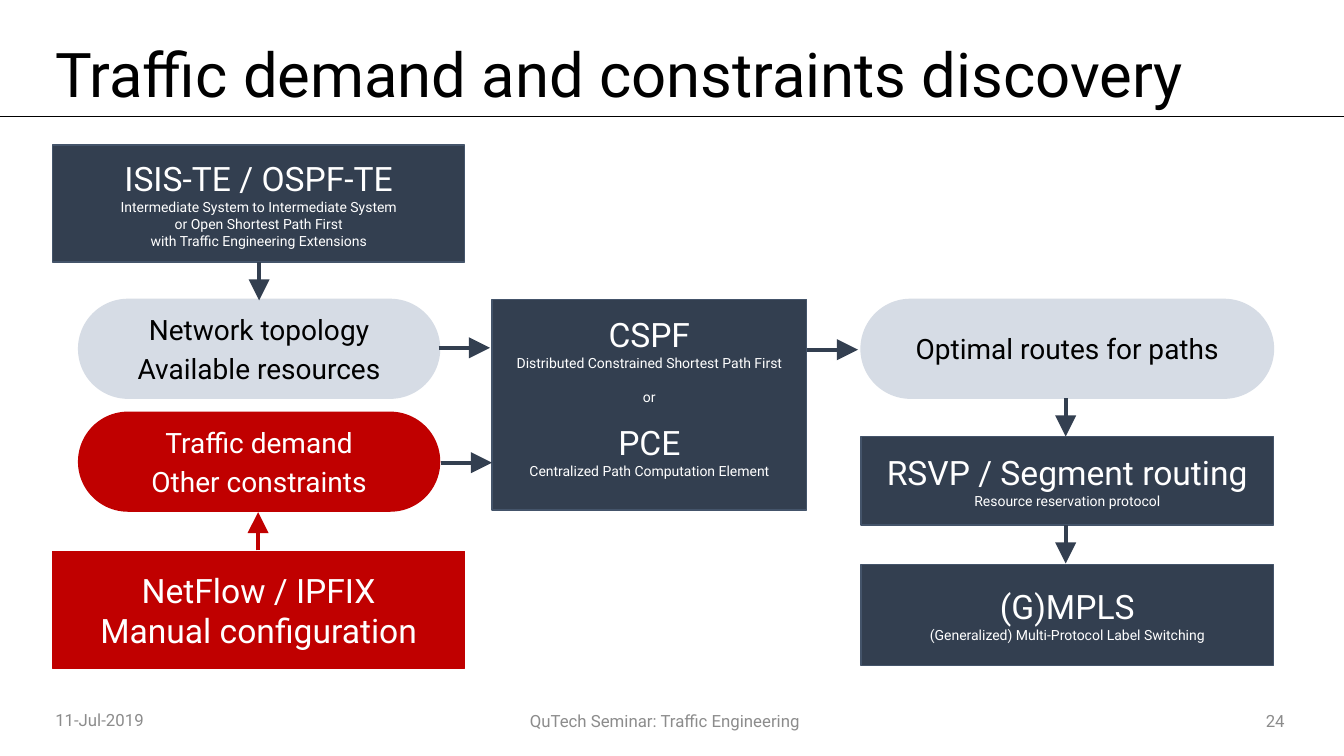
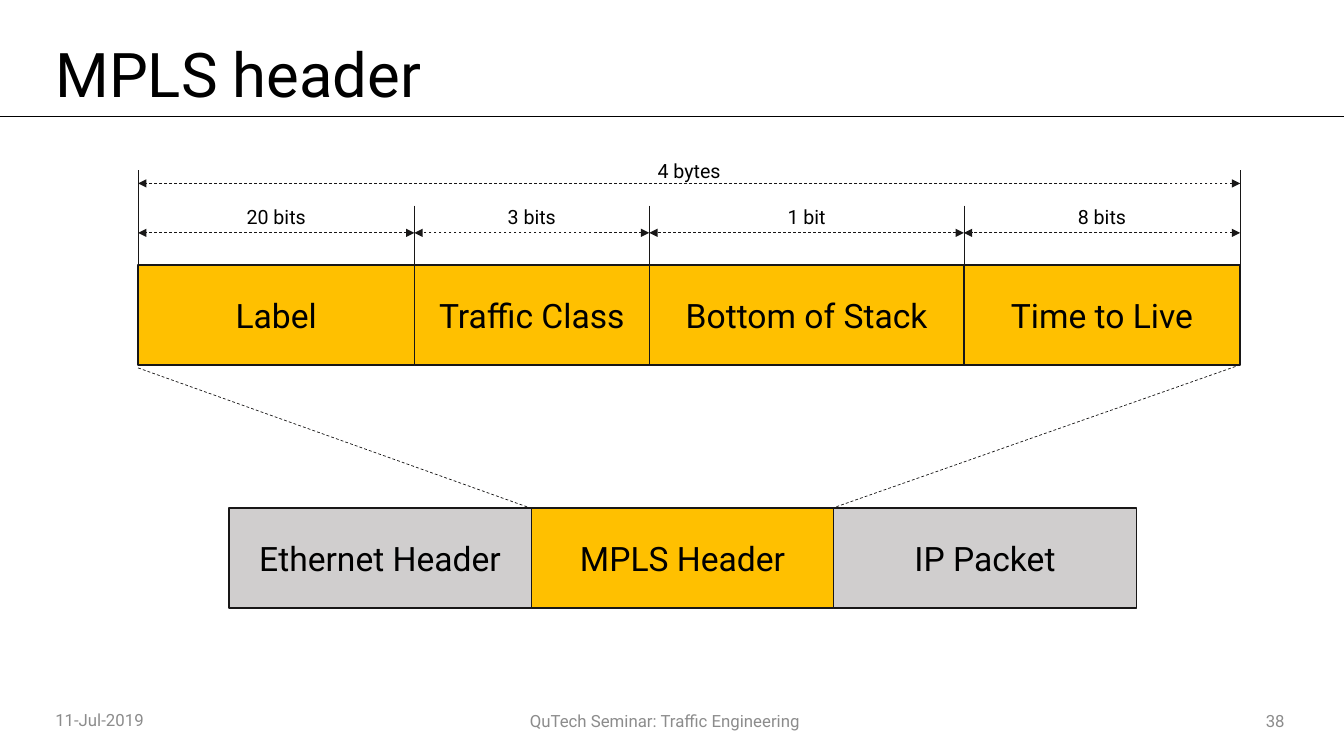
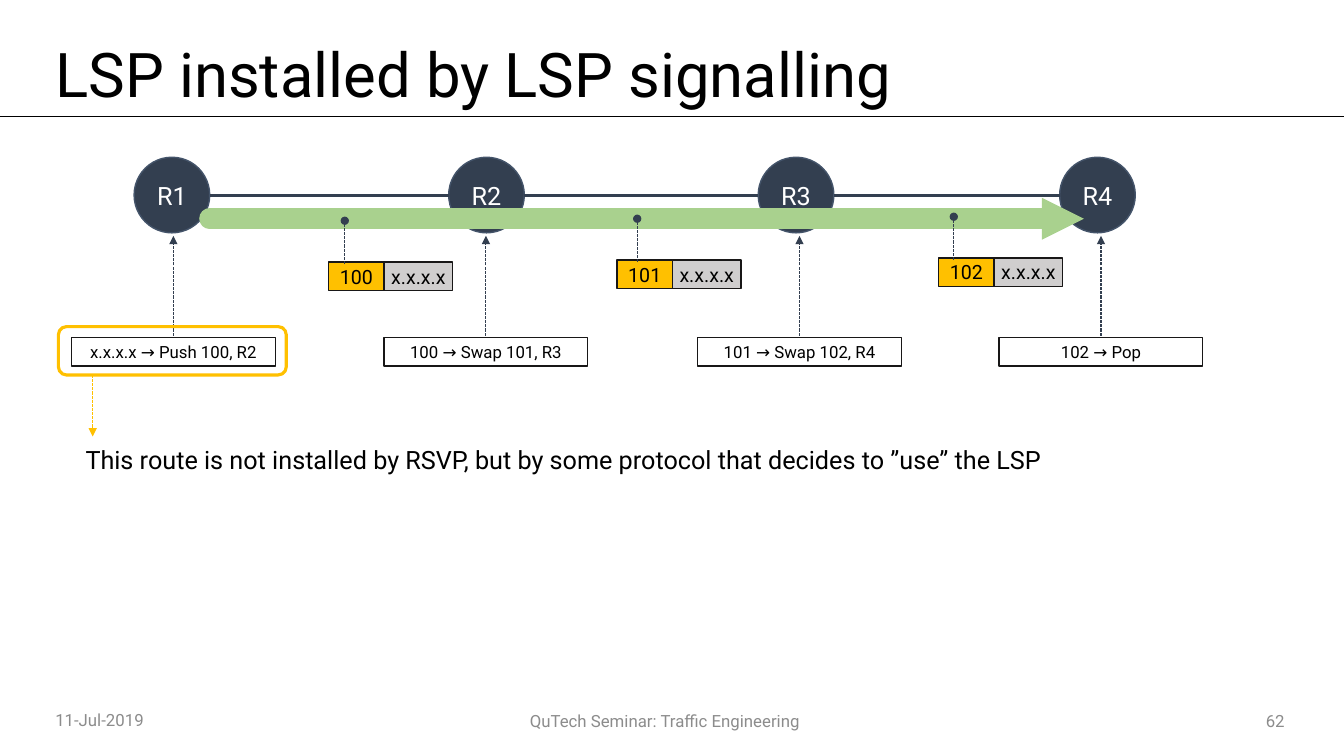
"""Build three traffic engineering slides: discovery, MPLS header and LSP signalling."""
from lxml import etree
from pptx import Presentation
from pptx.dml.color import RGBColor
from pptx.enum.dml import MSO_LINE
from pptx.enum.shapes import MSO_CONNECTOR, MSO_SHAPE
from pptx.enum.text import MSO_ANCHOR, PP_ALIGN
from pptx.oxml.ns import qn
from pptx.util import Inches, Pt

FONT = "Roboto"
BLACK, WHITE, GREY = "000000", "FFFFFF", "8C8C8C"
NAVY, EDGE, PALE, RED = "333F50", "44546A", "D6DCE5", "C00000"
INK, GOLD, SILVER, GREEN = "181717", "FFC000", "D0CECE", "A9D18E"
RECT, PILL, OVAL = MSO_SHAPE.RECTANGLE, MSO_SHAPE.ROUNDED_RECTANGLE, MSO_SHAPE.OVAL
LEFT, CENTER, RIGHT = PP_ALIGN.LEFT, PP_ALIGN.CENTER, PP_ALIGN.RIGHT
DASH, DOTS = MSO_LINE.DASH, MSO_LINE.SQUARE_DOT
FLAT = (0, 0, 0, 0)
PADDED = (0.1, 0.05, 0.1, 0.05)
rgb = RGBColor.from_string


def box(shapes, kind, at, paras, color=BLACK, fill=None, line=None, width=1,
        inset=PADDED, align=CENTER, spacing=None):
    at = [Inches(v) for v in at]
    if kind is None:
        sp = shapes.add_textbox(*at)
    else:
        sp = shapes.add_shape(kind, *at)
        sp.shadow.inherit = False
        if fill:
            sp.fill.solid()
            sp.fill.fore_color.rgb = rgb(fill)
        else:
            sp.fill.background()
        sp.line.color.rgb = rgb(line)
        sp.line.width = Pt(width)
    tf = sp.text_frame
    left, top, right, bottom = [Inches(v) for v in inset]
    frame = {"word_wrap": True, "vertical_anchor": MSO_ANCHOR.MIDDLE, "margin_left": left,
             "margin_top": top, "margin_right": right, "margin_bottom": bottom}
    for key, value in frame.items():
        setattr(tf, key, value)
    for i, (text, size, *before) in enumerate(paras):
        p = tf.add_paragraph() if i else tf.paragraphs[0]
        p.alignment = align
        if spacing:
            p.line_spacing = spacing
        if before:
            p.space_before = Pt(before[0])
        r = p.add_run()
        r.text = text
        for key, value in {"name": FONT, "size": Pt(size)}.items():
            setattr(r.font, key, value)
        r.font.color.rgb = rgb(color)
    return sp


def line(s, start, end, color, width, dash=None, head=None, tail=None, scale="med", cap=None):
    cx = s.shapes.add_connector(MSO_CONNECTOR.STRAIGHT, *[Inches(v) for v in start + end])
    cx.line.color.rgb = rgb(color)
    cx.line.width = Pt(width)
    if dash:
        cx.line.dash_style = dash
    ln = cx.line._get_or_add_ln()
    if cap:
        ln.set("cap", cap)
    for tag, kind in (("a:headEnd", head), ("a:tailEnd", tail)):
        if kind:
            etree.SubElement(ln, qn(tag), type=kind, w=scale, len=scale)
    etree.SubElement(cx._element.spPr, qn("a:effectLst"))


prs = Presentation()
prs.slide_width, prs.slide_height = Inches(13.33), Inches(7.5)

slides = []
for title, number in (("Traffic demand and constraints discovery", "24"),
                      ("MPLS header", "38"),
                      ("LSP installed by LSP signalling", "62")):
    s = prs.slides.add_slide(prs.slide_layouts[6])
    line(s, (0, 1.15), (13.33, 1.15), BLACK, 0.5)
    box(s.shapes, None, (0.45, 0.36, 12.39, 0.81), [(title, 44)], align=LEFT, spacing=0.9)
    for text, x, y, w, align in (("QuTech Seminar: Traffic Engineering", 1.93, 6.95, 9.33, CENTER),
                                 (number, 11.4, 6.95, 1.44, RIGHT),
                                 ("11-Jul-2019", 0.45, 6.94, 1.37, LEFT)):
        box(s.shapes, None, (x, y, w, 0.4), [(text, 12)], GREY, align=align)
    slides.append(s)
discovery, header, signalling = slides

s = discovery
for at, fill, edge, inset, paras in (
        ((0.52, 1.44, 4.09, 1.16), NAVY, EDGE, FLAT,
         [("ISIS-TE / OSPF-TE", 24), ("Intermediate System to Intermediate System", 10),
          ("or Open Shortest Path First", 10), ("with Traffic Engineering Extensions", 10)]),
        ((0.52, 5.47, 4.09, 1.16), RED, RED, FLAT,
         [("NetFlow / IPFIX", 24), ("Manual configuration", 24)]),
        ((4.88, 2.97, 3.12, 2.09), NAVY, EDGE, (0, 0, 0, 0.16),
         [("CSPF", 24), ("Distributed Constrained Shortest Path First", 10), ("or", 10, 12),
          ("PCE", 24, 12), ("Centralized Path Computation Element", 10)]),
        ((8.54, 4.33, 4.09, 0.88), NAVY, EDGE, FLAT,
         [("RSVP / Segment routing", 24), ("Resource reservation protocol", 10)]),
        ((8.54, 5.6, 4.09, 1), NAVY, EDGE, FLAT,
         [("(G)MPLS", 24), ("(Generalized) Multi-Protocol Label Switching", 10)])):
    box(s.shapes, RECT, at, paras, WHITE, fill, edge, inset=inset)
for x, y, w, fill, color, paras in (
        (0.78, 2.97, 3.58, PALE, BLACK, [("Network topology", 20), ("Available resources", 20, 4)]),
        (0.78, 4.09, 3.58, RED, WHITE, [("Traffic demand", 20), ("Other constraints", 20, 4)]),
        (8.54, 2.97, 4.09, PALE, BLACK, [("Optimal routes for paths", 20)])):
    sp = box(s.shapes, PILL, (x, y, w, 0.98), paras, color, fill, fill)
    sp.adjustments[0] = 0.5
for start, end, color in (((4.35, 3.45), (4.86, 3.45), NAVY), ((4.37, 4.59), (4.88, 4.59), NAVY),
                          ((8, 3.47), (8.51, 3.47), NAVY), ((10.57, 3.95), (10.57, 4.33), NAVY),
                          ((10.57, 5.21), (10.57, 5.59), NAVY), ((2.57, 2.6), (2.57, 2.98), NAVY),
                          ((2.56, 5.46), (2.56, 5.08), RED)):
    line(s, start, end, color, 3, tail="triangle", scale="lg")

s = header
for i, (text, fill) in enumerate((("Ethernet Header", SILVER), ("MPLS Header", GOLD),
                                  ("IP Packet", SILVER))):
    box(s.shapes, RECT, (2.27 + 3 * i, 5.04, 3, 0.99), [(text, 24)], fill=fill, line=INK)
first, last = 1.37, 12.3
x = first
for text, bits, w in (("Label", "20 bits", 2.74), ("Traffic Class", "3 bits", 2.33),
                      ("Bottom of Stack", "1 bit", 3.12), ("Time to Live", "8 bits", 2.74)):
    box(s.shapes, RECT, (x, 2.63, w, 0.99), [(text, 24)], fill=GOLD, line=INK)
    box(s.shapes, None, (x, 1.88, w, 0.54), [(bits, 14)])
    line(s, (x + w, 2.31), (x, 2.31), INK, 0.5, DASH, "triangle", "triangle")
    line(s, (x, 1.69 if x == first else 2.04), (x, 2.63), INK, 0.5)
    x += w
line(s, (last, 1.69), (last, 2.63), INK, 0.5)
line(s, (last, 1.82), (first, 1.82), INK, 0.5, DASH, "triangle", "triangle")
box(s.shapes, None, (first, 1.42, last - first, 0.54), [("4 bytes", 14)])
line(s, (last, 3.62), (8.26, 5.04), INK, 0.5, DASH)
line(s, (first, 3.65), (5.26, 5.04), INK, 0.5, DASH)

s = signalling
routers = (1.33, 4.45, 7.52, 10.51)
for i, x in enumerate(routers, 1):
    box(s.shapes, OVAL, (x, 1.56, 0.75, 0.75), [(f"R{i}", 18)], WHITE, NAVY, EDGE, inset=FLAT)
for x, after in zip(routers, routers[1:]):
    line(s, (x + 0.75, 1.94), (after, 1.94), NAVY, 2)
line(s, (10.75, 2.17), (2.08, 2.17), GREEN, 15, head="triangle", scale="sm", cap="rnd")
for label, x, y, dot in (("100", 3.26, 2.6, 3.42), ("101", 6.12, 2.58, 6.32),
                         ("102", 9.31, 2.56, 9.46)):
    packet = s.shapes.add_group_shape()
    for text, left, w, fill in ((label, x, 0.55, GOLD), ("x.x.x.x", x + 0.55, 0.68, SILVER)):
        box(packet.shapes, RECT, (left, y, w, 0.28), [(text, 14)], fill=fill, line=INK, inset=FLAT)
    line(s, (dot, y + 0.02), (dot, y - 0.41), NAVY, 0.75, DOTS, tail="oval")
for text, x in (("x.x.x.x → Push 100, R2", 1.72), ("100 → Swap 101, R3", 4.82),
                ("101 → Swap 102, R4", 7.93), ("102 → Pop", 10.92)):
    line(s, (x, 3.33), (x, 2.34), NAVY, 0.75, DOTS, tail="triangle")
    box(s.shapes, RECT, (x - 1.01, 3.35, 2.02, 0.28), [(text, 12)], fill=WHITE, line=INK, inset=FLAT)
box(s.shapes, PILL, (0.58, 3.24, 2.26, 0.48), [], line=GOLD, width=2.25)
line(s, (0.92, 3.72), (0.92, 4.33), GOLD, 0.75, DOTS, tail="triangle")
note = "This route is not installed by RSVP, but by some protocol that decides to ”use” the LSP"
box(s.shapes, None, (0.75, 4.13, 10, 0.85), [(note, 18)], inset=(0.1, 0.1, 0.1, 0.1), align=LEFT)

prs.save("out.pptx")
